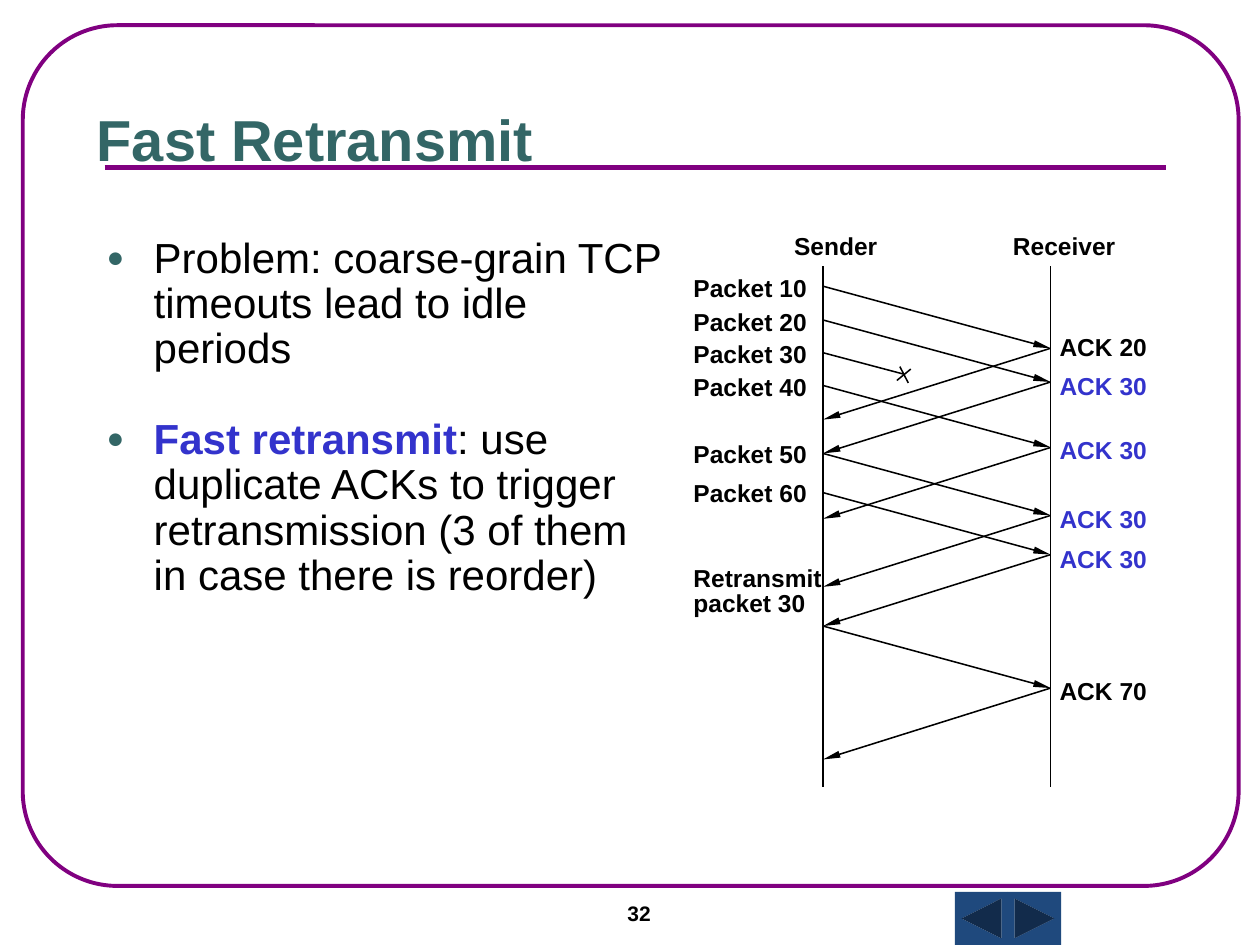
from lxml import etree
from pptx import Presentation
from pptx.dml.color import RGBColor
from pptx.enum.shapes import MSO_CONNECTOR, MSO_SHAPE
from pptx.enum.text import MSO_ANCHOR
from pptx.oxml.ns import qn
from pptx.util import Cm, Pt

STRAIGHT = MSO_CONNECTOR.STRAIGHT
ROUNDED = MSO_SHAPE.ROUNDED_RECTANGLE
BACK = MSO_SHAPE.ACTION_BUTTON_BACK_OR_PREVIOUS
FORWARD = MSO_SHAPE.ACTION_BUTTON_FORWARD_OR_NEXT
TOP, BOTTOM = MSO_ANCHOR.TOP, MSO_ANCHOR.BOTTOM

BLACK, PURPLE, TEAL, BLUE, NAVY = "000000", "800080", "336666", "3333CC", "1F497D"


def rgb(value):
    return RGBColor.from_string(value)


class SlideBuilder:
    font = "Arial"
    label_size = 14
    label_height = 0.58
    line_width = 0.88

    def __init__(self, slide):
        self.slide = slide

    def shape(self, kind, left, top, width, height, fill=None, line=None, line_width=1):
        shape = self.slide.shapes.add_shape(kind, Cm(left), Cm(top), Cm(width), Cm(height))
        shape.shadow.inherit = False
        if fill:
            shape.fill.solid()
            shape.fill.fore_color.rgb = rgb(fill)
        else:
            shape.fill.background()
        if line:
            shape.line.color.rgb = rgb(line)
            shape.line.width = Pt(line_width)
        else:
            shape.line.fill.background()
        return shape

    def line(self, start, end, color=BLACK, width=line_width, arrow=False):
        connector = self.slide.shapes.add_connector(STRAIGHT, *map(Cm, start + end))
        connector.line.color.rgb = rgb(color)
        connector.line.width = Pt(width)
        if arrow:
            outline = connector.line._get_or_add_ln()
            etree.SubElement(outline, qn("a:tailEnd"), type="triangle", w="sm", len="lg")
        etree.SubElement(connector._element.spPr, qn("a:effectLst"))

    def run(self, paragraph, text, size, color=BLACK, bold=True):
        run = paragraph.add_run()
        run.text = text
        run.font.name = self.font
        run.font.size = Pt(size)
        run.font.bold = bold
        run.font.color.rgb = rgb(color)

    def frame(self, left, top, width, height, anchor=TOP):
        box = self.slide.shapes.add_textbox(Cm(left), Cm(top), Cm(width), Cm(height))
        box.text_frame.word_wrap = True
        box.text_frame.vertical_anchor = anchor
        return box.text_frame

    def text(self, text, left, top, width, height, size, color=BLACK, anchor=TOP):
        frame = self.frame(left, top, width, height, anchor)
        self.run(frame.paragraphs[0], text, size, color)
        return frame

    def label(self, text, left, top, width, color=BLACK):
        frame = self.text(text, left, top, width, self.label_height, self.label_size, color)
        frame.margin_left = frame.margin_top = frame.margin_right = frame.margin_bottom = 0

    def bullets(self, items, left, top, width, height, size, gap):
        frame = self.frame(left, top, width, height)
        for index, runs in enumerate(items):
            paragraph = frame.add_paragraph() if index else frame.paragraphs[0]
            paragraph.line_spacing = 0.9
            if index:
                paragraph.space_before = Pt(gap)
            properties = paragraph._p.get_or_add_pPr()
            properties.set("marL", str(Cm(0.95)))
            properties.set("indent", str(Cm(-0.95)))
            bullet_color = etree.SubElement(properties, qn("a:buClr"))
            etree.SubElement(bullet_color, qn("a:srgbClr"), val=TEAL)
            etree.SubElement(properties, qn("a:buSzPct"), val="70000")
            etree.SubElement(properties, qn("a:buFont"), typeface=self.font)
            etree.SubElement(properties, qn("a:buChar"), char="●")
            for text, color, bold in runs:
                self.run(paragraph, text, size, color, bold)


def main():
    deck = Presentation()
    deck.slide_width, deck.slide_height = Cm(25.4), Cm(19.05)
    page = SlideBuilder(deck.slides.add_slide(deck.slide_layouts[6]))

    border = page.shape(ROUNDED, 0.46, 0.51, 24.51, 17.35, line=PURPLE, line_width=2.25)
    border.adjustments[0] = 0.11
    page.line((2.11, 3.38), (23.5, 3.38), PURPLE, 3)
    button = 1.07
    for index, kind in enumerate((BACK, FORWARD)):
        page.shape(kind, 19.25 + index * button, 17.98, button, button, fill=NAVY)

    page.text("32", 12.4, 18.03, 2.97, 0.84, 12)
    page.text("Fast Retransmit", 1.7, 0.43, 21.59, 3.18, 33, TEAL, BOTTOM)
    page.bullets(
        [
            [("Problem: coarse-grain TCP timeouts lead to idle periods", BLACK, False)],
            [
                ("Fast retransmit", BLUE, True),
                (": use duplicate ACKs to trigger retransmission "
                 "(3 of them in case there is reorder)", BLACK, False),
            ],
        ],
        1.9, 4.65, 11.86, 6.15, size=24, gap=26,
    )

    sender, receiver = 16.59, 21.18
    page.label("Sender", 16.01, 4.65, 1.9)
    page.label("Receiver", 20.42, 4.65, 2.4)
    for lifeline in (sender, receiver):
        page.line((lifeline, 5.37), (lifeline, 15.87))

    for name, top in (
        ("Packet 10", 5.51), ("Packet 20", 6.19), ("Packet 30", 6.83),
        ("Packet 40", 7.49), ("Packet 50", 8.85), ("Packet 60", 9.64),
        ("Retransmit", 11.35), ("packet 30", 11.86),
    ):
        page.label(name, 13.98, top, 2.8)

    packet_drop, ack_drop = 1.25, 1.44
    for sent, ack, ack_top, color in (
        (5.77, "ACK 20", 6.69, BLACK),
        (6.45, "ACK 30", 7.47, BLUE),
        (7.77, "ACK 30", 8.76, BLUE),
        (9.14, "ACK 30", 10.16, BLUE),
        (9.93, "ACK 30", 10.97, BLUE),
        (12.62, "ACK 70", 13.62, BLACK),
    ):
        received = sent + packet_drop
        page.line((sender, sent), (receiver, received), arrow=True)
        page.line((receiver, received), (sender, received + ack_drop), arrow=True)
        page.label(ack, 21.36, ack_top, 2, color)

    page.line((sender, 7.11), (18.21, 7.54))
    page.line((18.14, 7.39), (18.31, 7.72))
    page.line((18.36, 7.44), (18.08, 7.67))

    deck.save("out.pptx")


if __name__ == "__main__":
    main()
